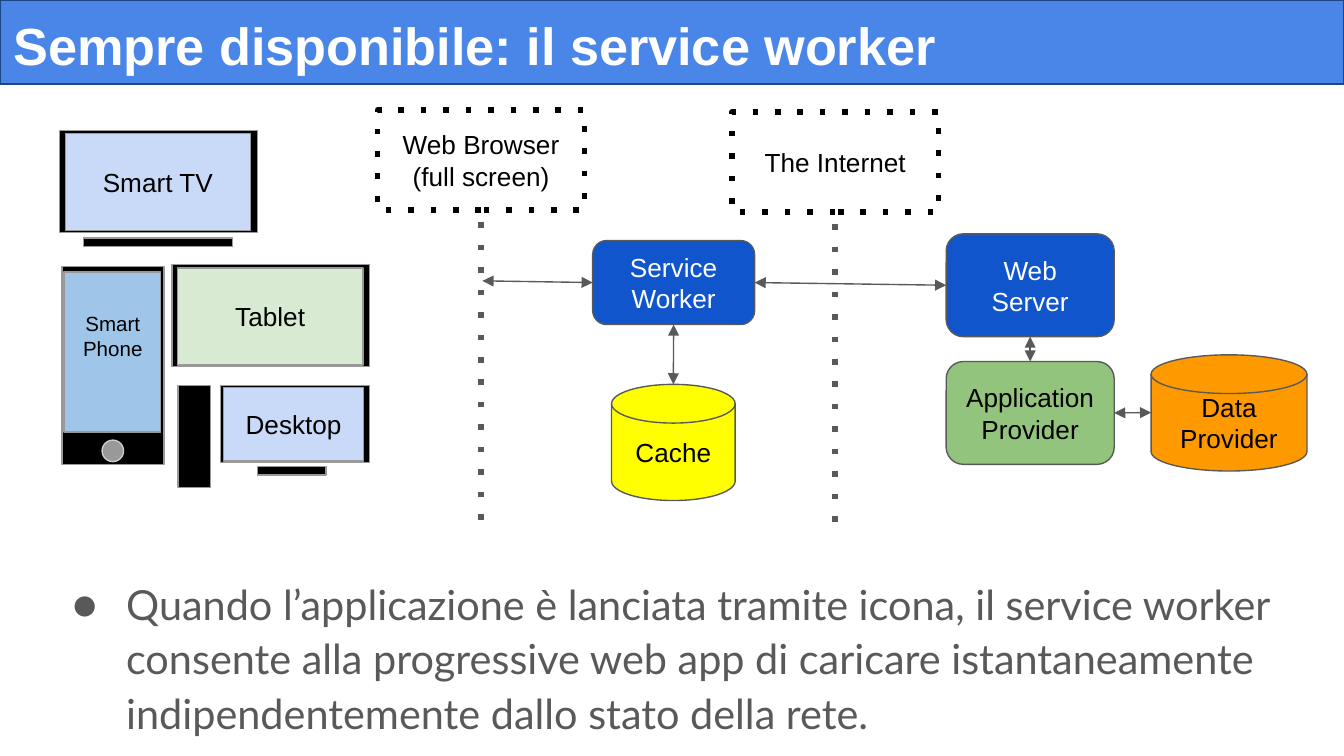
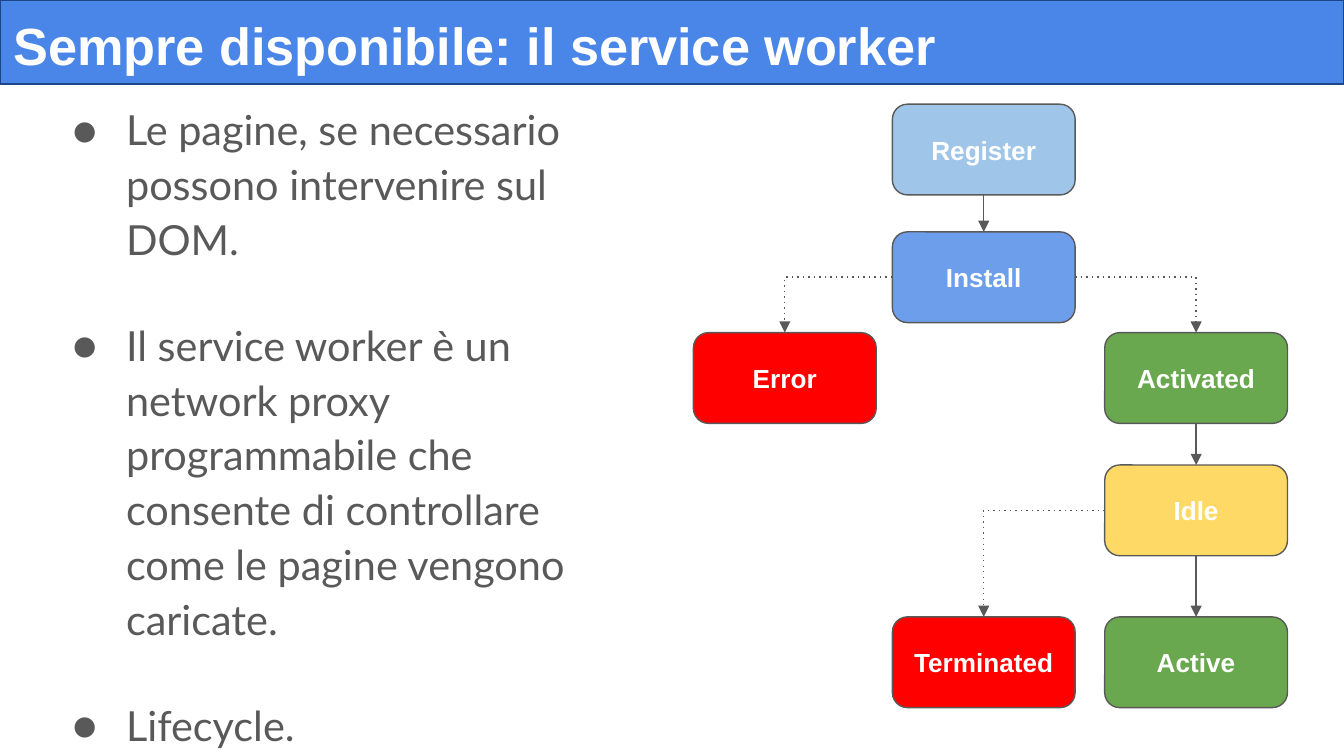
from dataclasses import dataclass
from typing import NamedTuple

from lxml.etree import SubElement
from pptx import Presentation
from pptx.dml.color import RGBColor
from pptx.enum.shapes import MSO_CONNECTOR as Route, MSO_SHAPE as Kind
from pptx.enum.text import MSO_ANCHOR as Anchor, MSO_AUTO_SIZE as Fit, PP_ALIGN as Align
from pptx.oxml.ns import qn
from pptx.util import Emu, Pt

EMU_PER_PX = 4572
TOP, LEFT, BOTTOM, RIGHT = range(4)


@dataclass(frozen=True)
class Theme:
    """Colours, fonts and type sizes of the deck."""

    band: str = "4A86E8"
    band_edge: str = "1C4587"
    white: str = "FFFFFF"
    black: str = "000000"
    ink: str = "595959"
    edge: str = "999999"
    button_edge: str = "CCCCCC"
    screen: str = "C9DAF8"
    sky: str = "9FC5E8"
    tablet: str = "D9EAD3"
    worker: str = "1155CC"
    provider: str = "93C47D"
    cache: str = "FFFF00"
    data: str = "FF9900"
    install: str = "6D9EEB"
    failed: str = "FF0000"
    ready: str = "6AA84F"
    idle: str = "FFD966"
    font: str = "Arial"
    body_font: str = "Lato"
    title_size: float = 28
    body_size: float = 22.2
    label_size: float = 14
    small_size: float = 11
    thin: float = 0.75
    thick: float = 3


THEME = Theme()


@dataclass(frozen=True)
class Box:
    """A preset shape with an optional label, in px."""

    left: int
    top: int
    width: int
    height: int
    fill: str = THEME.black
    text: str = ""
    kind: Kind = Kind.RECTANGLE
    edge: str = THEME.edge
    edge_width: float = THEME.thin
    dotted: bool = False
    color: str = THEME.black
    bold: bool = False
    rotation: int = 0


class Point(NamedTuple):
    """A free connector end, in px."""

    x: int
    y: int


class Side(NamedTuple):
    """A connector end joined to the middle of a side."""

    box: object
    site: int


class State(NamedTuple):
    """A step of the lifecycle and its place."""

    name: str
    left: int
    top: int
    fill: str


def px(length: int) -> Emu:
    """Turn px into EMU."""
    return Emu(length * EMU_PER_PX)


def rgb(color: str) -> RGBColor:
    """Read a hexadecimal colour."""
    return RGBColor.from_string(color)


def write(frame, text: str, *, size: float = THEME.label_size, color: str = THEME.black,
          font: str = THEME.font, bold: bool = False, align: Align = Align.CENTER,
          anchor: Anchor = Anchor.MIDDLE, bullet: str = "", spacing: float = 1,
          first_gap: float = 0, gap: float = 0) -> None:
    """Fill a text frame with one paragraph per line of text."""
    frame.word_wrap = True
    frame.auto_size = Fit.NONE
    frame.vertical_anchor = anchor
    frame.margin_left = frame.margin_right = frame.margin_top = frame.margin_bottom = px(20)
    for index, line in enumerate(text.split("\n")):
        para = frame.add_paragraph() if index else frame.paragraphs[0]
        para.alignment = align
        para.line_spacing = spacing
        para.space_before = Pt(gap if index else first_gap)
        if bullet:
            properties = para._p.get_or_add_pPr()
            properties.set("marL", str(px(100)))
            properties.set("indent", str(px(-80)))
            tint = SubElement(properties, qn("a:buClr"))
            SubElement(tint, qn("a:srgbClr"), val=color)
            SubElement(properties, qn("a:buFont"), typeface=font)
            SubElement(properties, qn("a:buChar"), char=bullet)
        span = para.add_run()
        span.text = line
        span.font.name = font
        span.font.size = Pt(size)
        span.font.bold = bold
        span.font.color.rgb = rgb(color)


def style_line(shape, color: str, width: float, dotted: bool = False,
               head: bool = False, tail: bool = False) -> None:
    """Set the colour, width, dots and arrowheads of a line."""
    shape.line.color.rgb = rgb(color)
    shape.line.width = Pt(width)
    line = shape._element.spPr.find(qn("a:ln"))
    if dotted:
        SubElement(line, qn("a:prstDash"), val="dot")
    for shown, tag in ((head, "a:headEnd"), (tail, "a:tailEnd")):
        if shown:
            SubElement(line, qn(tag), type="triangle")


def draw_box(page, box: Box):
    """Draw a box and return its shape."""
    shape = page.shapes.add_shape(
        box.kind, px(box.left), px(box.top), px(box.width), px(box.height))
    shape.shadow.inherit = False
    shape.rotation = box.rotation
    shape.fill.solid()
    shape.fill.fore_color.rgb = rgb(box.fill)
    style_line(shape, box.edge, box.edge_width, box.dotted)
    if box.text:
        write(shape.text_frame, box.text, color=box.color, bold=box.bold)
    return shape


def draw_link(page, start: Point | Side, end: Point | Side, *, width: float = THEME.thin,
              dotted: bool = False, head: bool = False, tail: bool = True, bent: bool = False):
    """Draw a connector between two ends and return it."""
    link = page.shapes.add_connector(Route.ELBOW if bent else Route.STRAIGHT, 0, 0, 0, 0)
    if isinstance(start, Side):
        link.begin_connect(start.box, start.site)
    else:
        link.begin_x, link.begin_y = px(start.x), px(start.y)
    if isinstance(end, Side):
        link.end_connect(end.box, end.site)
    else:
        link.end_x, link.end_y = px(end.x), px(end.y)
    style_line(link, THEME.ink, width, dotted, head, tail)
    properties = link._element.spPr
    SubElement(properties, qn("a:effectLst"))
    if bent:
        properties.find(qn("a:prstGeom")).set("prst", "bentConnector2")
    return link


def draw_text(page, left: int, top: int, width: int, height: int, text: str, **style) -> None:
    """Place a plain text box."""
    area = page.shapes.add_textbox(px(left), px(top), px(width), px(height))
    write(area.text_frame, text, **style)


def draw_bullets(page, left: int, top: int, width: int, height: int, text: str) -> None:
    """Place the bulleted body text."""
    draw_text(page, left, top, width, height, text, size=THEME.body_size, color=THEME.ink,
              font=THEME.body_font, align=Align.LEFT, anchor=Anchor.TOP, bullet="●",
              spacing=1.1, first_gap=6, gap=27.6)


def add_page(deck, title: str):
    """Add a page with the title band."""
    page = deck.slides.add_slide(deck.slide_layouts[5])
    band = page.shapes.title
    band.left, band.top, band.width, band.height = px(0), px(0), px(2000), px(125)
    band.fill.solid()
    band.fill.fore_color.rgb = rgb(THEME.band)
    style_line(band, THEME.band_edge, THEME.thin)
    write(band.text_frame, title, size=THEME.title_size, color=THEME.white, bold=True,
          align=Align.LEFT, anchor=Anchor.TOP)
    return page


def draw_devices(page) -> None:
    """Draw the television, phone, tablet and desktop."""
    for box in (
        Box(89, 194, 294, 152),
        Box(124, 354, 222, 13),
        Box(97, 199, 276, 144, THEME.screen, "Smart TV"),
        Box(21, 468, 294, 152, rotation=90),
        Box(48, 452, 238, 144, THEME.sky, rotation=90),
        Box(152, 655, 32, 32, THEME.edge, kind=Kind.OVAL, edge=THEME.button_edge),
        Box(256, 394, 294, 152),
        Box(264, 399, 276, 144, THEME.tablet, "Tablet"),
        Box(213, 626, 152, 48, rotation=90),
        Box(328, 574, 222, 114),
        Box(333, 577, 208, 109, THEME.screen, "Desktop"),
        Box(383, 694, 102, 13),
    ):
        draw_box(page, box)
    draw_text(page, 102, 437, 132, 126, "Smart Phone", size=THEME.small_size)


def draw_boundary(page, left: int, top: int, text: str) -> None:
    """Draw a dotted frame over its dotted vertical line."""
    middle = left + 154
    line = draw_link(page, Point(middle, top), Point(middle, top + 612),
                     width=THEME.thick, dotted=True, tail=False)
    frame = draw_box(page, Box(left, top, 308, 149, THEME.white, text, edge=THEME.black,
                               edge_width=THEME.thick, dotted=True))
    line.begin_connect(frame, TOP)


def build_architecture(deck, title: str) -> None:
    """Build the page on devices, worker and servers."""
    page = add_page(deck, title)
    draw_bullets(page, 68, 834, 1864, 220,
                 "Quando l’applicazione è lanciata tramite icona, il service worker consente "
                 "alla progressive web app di caricare istantaneamente indipendentemente "
                 "dallo stato della rete.")
    draw_devices(page)
    worker, server, provider = (
        draw_box(page, Box(*place, fill, text, Kind.ROUNDED_RECTANGLE, THEME.ink, color=color))
        for place, fill, text, color in (
            ((882, 358, 241, 125), THEME.worker, "Service Worker", THEME.white),
            ((1408, 348, 250, 153), THEME.worker, "Web Server", THEME.white),
            ((1408, 538, 250, 153), THEME.provider, "Application Provider", THEME.black),
        )
    )
    disk = Kind.FLOWCHART_MAGNETIC_DISK
    draw_box(page, Box(910, 572, 184, 173, THEME.cache, "Cache", disk, THEME.ink))
    draw_box(page, Box(1713, 528, 232, 173, THEME.data, "Data Provider", disk, THEME.ink))
    draw_boundary(page, 562, 164, "Web Browser\n(full screen)")
    draw_boundary(page, 1089, 167, "The Internet")
    for start, end in (
        (Point(718, 418), Side(worker, LEFT)),
        (Side(worker, BOTTOM), Point(1002, 572)),
        (Side(worker, RIGHT), Side(server, LEFT)),
        (Side(server, BOTTOM), Side(provider, TOP)),
        (Side(provider, RIGHT), Point(1713, 614)),
    ):
        draw_link(page, start, end, head=True)


def build_lifecycle(deck, title: str) -> None:
    """Build the page on the worker lifecycle."""
    page = add_page(deck, title)
    draw_bullets(page, 68, 128, 812, 924,
                 "Le pagine, se necessario possono intervenire sul DOM.\n"
                 "Il service worker è un network proxy programmabile che consente di "
                 "controllare come le pagine vengono caricate.\n"
                 "Lifecycle.")
    left, middle, right = 1032, 1328, 1644
    states = (
        State("Register", middle, 155, THEME.sky),
        State("Install", middle, 345, THEME.install),
        State("Error", left, 495, THEME.failed),
        State("Activated", right, 495, THEME.ready),
        State("Idle", right, 692, THEME.idle),
        State("Active", right, 918, THEME.ready),
        State("Terminated", middle, 918, THEME.failed),
    )
    boxes = {
        state.name: draw_box(page, Box(state.left, state.top, 272, 135, state.fill, state.name,
                                       Kind.ROUNDED_RECTANGLE, THEME.ink,
                                       color=THEME.white, bold=True))
        for state in states
    }
    for source, site, target in (
        ("Register", BOTTOM, "Install"),
        ("Activated", BOTTOM, "Idle"),
        ("Idle", BOTTOM, "Active"),
        ("Install", LEFT, "Error"),
        ("Install", RIGHT, "Activated"),
        ("Idle", LEFT, "Terminated"),
    ):
        bent = site != BOTTOM
        draw_link(page, Side(boxes[source], site), Side(boxes[target], TOP),
                  dotted=bent, bent=bent)


def main() -> None:
    """Build and save the deck."""
    deck = Presentation()
    deck.slide_width, deck.slide_height = px(2000), px(1125)
    title = "Sempre disponibile: il service worker"
    build_architecture(deck, title)
    build_lifecycle(deck, title)
    deck.save("out.pptx")


if __name__ == "__main__":
    main()
